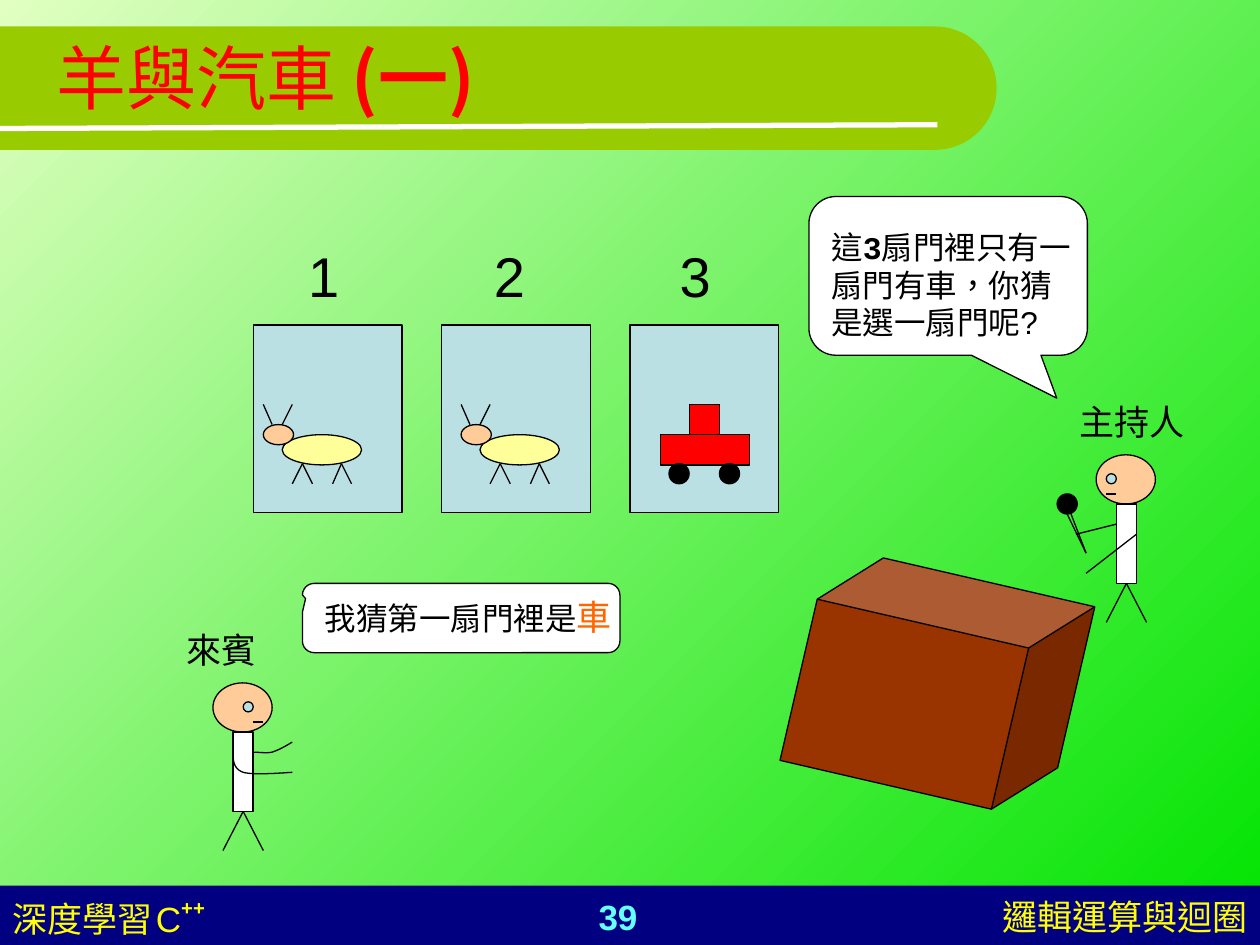
import math
from lxml import etree
from pptx import Presentation
from pptx.dml.color import RGBColor
from pptx.enum.shapes import MSO_CONNECTOR, MSO_SHAPE
from pptx.enum.text import MSO_ANCHOR, MSO_AUTO_SIZE, PP_ALIGN
from pptx.oxml.ns import qn
from pptx.util import Inches, Pt

RECT, OVAL, CUBE = MSO_SHAPE.RECTANGLE, MSO_SHAPE.OVAL, MSO_SHAPE.CUBE
CALLOUT = MSO_SHAPE.ROUNDED_RECTANGULAR_CALLOUT
STRAIGHT = MSO_CONNECTOR.STRAIGHT
LEFT, CENTER, RIGHT = PP_ALIGN.LEFT, PP_ALIGN.CENTER, PP_ALIGN.RIGHT
MIDDLE, FIT = MSO_ANCHOR.MIDDLE, MSO_AUTO_SIZE.SHAPE_TO_FIT_TEXT

COLORS = {
    "sky": "E0FFC1", "grass": "00E400", "footer": "000080", "banner": "99CC00",
    "white": "FFFFFF", "black": "000000", "red": "FF0000", "yellow": "FFFF00",
    "cyan": "66FFFF", "door": "BBE0E3", "goat": "FFFF99", "skin": "FFCC99",
    "wood": "993300", "orange": "FF6600",
}

TITLE = [[("羊與汽車 ", {}), ("(一)", {"name": "Noto Sans CJK SC", "bold": True})]]
COURSE = [[("深度學習", {}), (" ", {"size": Pt(8)}), ("C", {}),
           ("++", {"bold": True, "baseline": 46})]]
PAGE = [[("39", {"bold": True})]]
CHAPTER = [[("邏輯運算與迴圈", {})]]
DOOR_NUMBERS = ["1", "2", "3"]
HOST_NAME = [[("主持人", {})]]
GUEST_NAME = [[("來賓", {})]]
HOST_SPEECH = [
    [("這", {}), ("3", {"name": "Courier New", "bold": True}), ("扇門裡只有一", {})],
    [("扇門有車，你猜", {})],
    [("是選一扇門呢?", {})],
]
GUEST_SPEECH = [[("我猜第一扇門裡是", {}),
                 ("車", {"size": Pt(20), "color": "orange"})]]

GOAT_XS = [2.09, 3.66]
GOAT_LINES = [(0, 0, 0.07, 0.16), (0.23, 0, 0.15, 0.16),
              (0.31, 0.47, 0.23, 0.63), (0.31, 0.47, 0.39, 0.63),
              (0.62, 0.47, 0.55, 0.63), (0.62, 0.47, 0.7, 0.63)]
CAR = [(RECT, (5.24, 3.45, 0.71, 0.24), "red"), (RECT, (5.47, 3.21, 0.24, 0.24), "red"),
       (OVAL, (5.31, 3.68, 0.16, 0.16), "black"), (OVAL, (5.71, 3.68, 0.16, 0.16), "black")]
HOST_ARMS = [(9.02, 4.24, 8.62, 4.55), (8.86, 4.16, 8.54, 4.24)]
MICROPHONE_LINES = [(8.47, 4.08, 8.62, 4.39), (8.47, 4, 8.62, 4.39)]
GUEST_ARMS = [
    [(2.01, 5.97), (2.06, 5.97), (2.11, 5.98), (2.16, 5.97),
     (2.22, 5.95), (2.27, 5.92), (2.32, 5.89)],
    [(1.85, 5.97), (1.85, 6.03), (1.85, 6.1), (1.93, 6.13),
     (2.01, 6.15), (2.16, 6.14), (2.32, 6.13)],
]

prs = Presentation()
prs.slide_width, prs.slide_height = Inches(10), Inches(7.5)
slide = prs.slides.add_slide(prs.slide_layouts[6])
shapes = slide.shapes


def rgb(key):
    return RGBColor.from_string(COLORS[key])


def paint(shape, fill, outlined=True):
    shape.shadow.inherit = False
    if fill:
        shape.fill.solid()
        shape.fill.fore_color.rgb = rgb(fill)
    else:
        shape.fill.background()
    if outlined:
        shape.line.color.rgb = rgb("black")
        shape.line.width = Pt(0.75)
    else:
        shape.line.fill.background()
    return shape


def add_figure(kind, box, fill, outlined=True, adjustments=()):
    shape = shapes.add_shape(kind, *map(Inches, box))
    for index, value in enumerate(adjustments):
        shape.adjustments[index] = value
    return paint(shape, fill, outlined)


def add_line(ends, color="black", width=0.75):
    line = shapes.add_connector(STRAIGHT, *map(Inches, ends))
    line.line.color.rgb = rgb(color)
    line.line.width = Pt(width)
    etree.SubElement(line._element.spPr, qn("a:effectLst"))
    return line


def add_outline(points, fill=None, closed=False):
    start, *others = [(Inches(x), Inches(y)) for x, y in points]
    builder = shapes.build_freeform(*start)
    builder.add_line_segments(others, close=closed)
    return paint(builder.convert_to_shape(), fill, outlined=not closed)


def curve_points(controls, steps=12):
    points = [controls[0]]
    for start in range(0, len(controls) - 1, 3):
        segment = controls[start:start + 4]
        for step in range(1, steps + 1):
            t = step / steps
            weights = [math.comb(3, k) * t ** k * (1 - t) ** (3 - k) for k in range(4)]
            points.append(tuple(sum(w * p[axis] for w, p in zip(weights, segment))
                                for axis in (0, 1)))
    return points


def add_text(box, paragraphs, size, color, align=LEFT, wrap=True, tabs=()):
    frame = shapes.add_textbox(*map(Inches, box)).text_frame
    frame.word_wrap = wrap
    if not wrap:
        frame.auto_size = FIT
    for index, runs in enumerate(paragraphs):
        paragraph = frame.paragraphs[0] if index == 0 else frame.add_paragraph()
        paragraph.alignment = align
        if tabs:
            tab_list = etree.SubElement(paragraph._p.get_or_add_pPr(), qn("a:tabLst"))
            for stop in tabs:
                etree.SubElement(tab_list, qn("a:tab"), pos=str(Inches(stop)), algn="ctr")
        paragraph.font.name = "Arial"
        paragraph.font.size = Pt(size)
        paragraph.font.color.rgb = rgb(color)
        for text, style in runs:
            run = paragraph.add_run()
            run.text = text
            properties = run._r.get_or_add_rPr()
            properties.set("lang", "zh-TW")
            if "name" in style:
                run.font.name = style["name"]
            if "size" in style:
                run.font.size = style["size"]
            if "bold" in style:
                run.font.bold = style["bold"]
            if "color" in style:
                run.font.color.rgb = rgb(style["color"])
            if "baseline" in style:
                properties.set("baseline", str(style["baseline"] * 1000))
    return frame


def add_goat(x, y=3.21):
    add_figure(OVAL, (x + 0.15, y + 0.24, 0.63, 0.24), "goat")
    add_figure(OVAL, (x, y + 0.16, 0.24, 0.16), "skin")
    for x1, y1, x2, y2 in GOAT_LINES:
        add_line((x + x1, y + y1, x + x2, y + y2))


def add_person(x, y, eye_dx, mouth_dx):
    add_figure(OVAL, (x, y, 0.47, 0.39), "skin")
    torso = add_figure(RECT, (x + 0.16, y + 0.39, 0.16, 0.63), "white")
    for foot_dx in (-0.16, 0.16):
        hip = x + 0.24
        leg = add_line((hip, y + 1.02, hip + foot_dx, y + 1.33))
        leg.begin_connect(torso, 2)
    add_figure(OVAL, (x + eye_dx, y + 0.15, 0.08, 0.08), "door")
    add_line((x + mouth_dx, y + 0.31, x + mouth_dx + 0.08, y + 0.31))


background = slide.background.fill
background.gradient()
background.gradient_angle = 315
for stop, key in zip(background.gradient_stops, ("sky", "grass")):
    stop.color.rgb = rgb(key)

add_figure(RECT, (0, 7.03, 10, 0.47), "footer", outlined=False)
angles = [math.radians(degrees) for degrees in range(-90, 91, 5)]
banner_end = [(7.42 + 0.49 * math.cos(a), 0.7 + 0.49 * math.sin(a)) for a in angles]
add_outline([(0, 0.21), *banner_end, (0, 1.19)], "banner", closed=True)
add_line((0, 1.02, 7.44, 0.99), "white", 3)

add_text((3.74, 7.06, 2.33, 0.44), PAGE, 20, "cyan", CENTER)
add_text((6.73, 7.06, 3.27, 0.44), CHAPTER, 20, "yellow", RIGHT)
add_text((0, 7.06, 3.58, 0.44), COURSE, 20, "yellow")
add_text((0.35, 0.13, 9.15, 0.95), TITLE, 40, "red").vertical_anchor = MIDDLE
add_text((0.5, 1.87, 9, 0.6), [[("\t" + "\t".join(DOOR_NUMBERS), {})]], 32, "black",
         tabs=[1.97 + 1.475 * i for i in range(len(DOOR_NUMBERS))])

for i in range(len(DOOR_NUMBERS)):
    add_figure(RECT, (2.01 + 1.495 * i, 2.58, 1.18, 1.49), "door")
for goat_x in GOAT_XS:
    add_goat(goat_x)
for kind, box, fill in CAR:
    add_figure(kind, box, fill)

add_figure(CUBE, (6.36, 4.55, 2.16, 1.75), "wood", adjustments=[0.25]).rotation = 13
add_person(8.7, 3.61, eye_dx=0.08, mouth_dx=0.08)
for ends in HOST_ARMS + MICROPHONE_LINES:
    add_line(ends)
add_figure(OVAL, (8.39, 3.92, 0.16, 0.16), "black")

add_person(1.69, 5.42, eye_dx=0.24, mouth_dx=0.32)
for arm in GUEST_ARMS:
    add_outline(curve_points(arm))

add_text((8.47, 3.13, 1.1, 0.44), HOST_NAME, 20, "black", wrap=False)
add_text((1.38, 4.94, 0.82, 0.44), GUEST_NAME, 20, "black", wrap=False)
add_figure(CALLOUT, (6.42, 1.56, 2.21, 1.26), "white", adjustments=[0.39, 0.77, 0.17])
add_text((6.5, 1.76, 2.22, 1), HOST_SPEECH, 18, "black", wrap=False)
add_figure(CALLOUT, (2.4, 4.63, 2.52, 0.55), "white", adjustments=[-0.49, -0.28, 0.17])
add_text((2.48, 4.68, 2.48, 0.44), GUEST_SPEECH, 18, "black", wrap=False)

prs.save("out.pptx")
